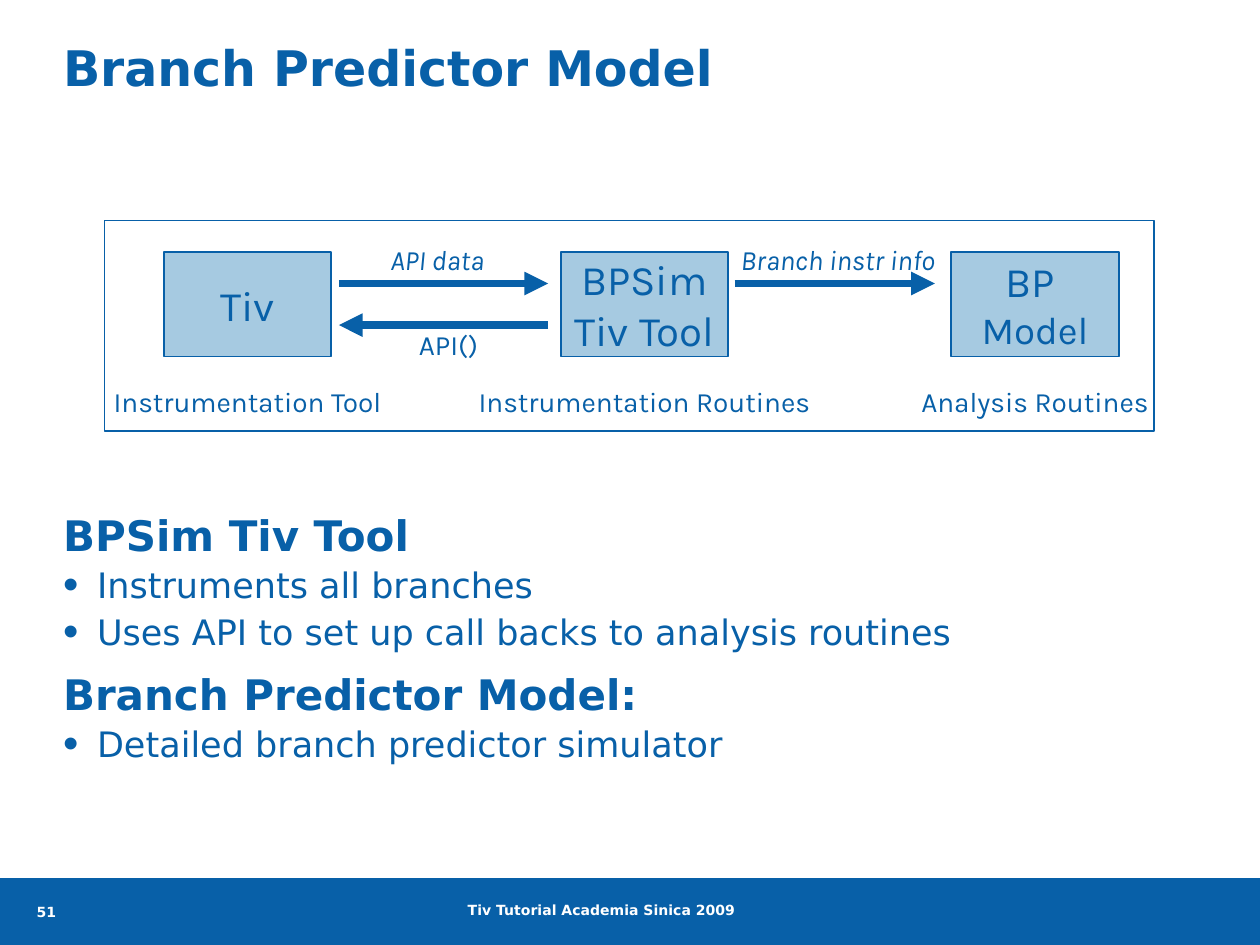
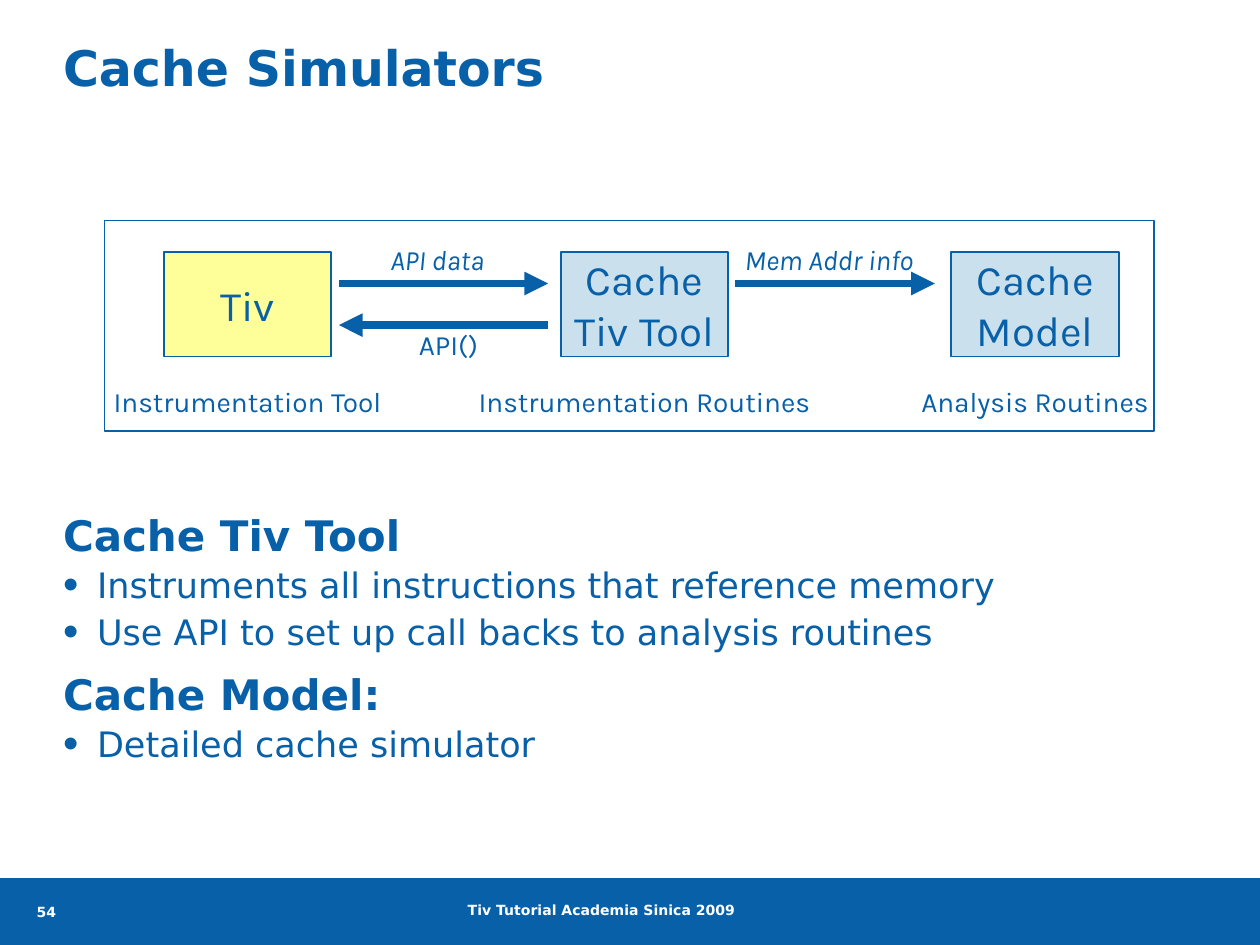
from lxml import etree
from pptx import Presentation
from pptx.dml.color import RGBColor
from pptx.enum import shapes, text
from pptx.oxml import ns
from pptx.util import Inches, Pt

COLORS = {
    "blue": "0860A8",
    "white": "FFFFFF",
    "sky": "A6CAE1",
    "pale": "CBE0ED",
    "yellow": "FFFF99",
}
HEADING_FONT = "DejaVu Sans"
DIAGRAM_FONT = "Karla"
FOOTER = "Tiv Tutorial Academia Sinica 2009"

STAGE_LEFTS = (1.3, 4.45, 7.55)
STAGE_TOP, STAGE_WIDTH, STAGE_HEIGHT = 2, 1.33, 0.83
CAPTIONS = (
    ("Instrumentation Tool", 2.41),
    ("Instrumentation Routines", 2.88),
    ("Analysis Routines", 2.01),
)
CAPTION_TOP, LABEL_HEIGHT = 3, 0.37
FLOWS = (
    (4.35, 2.69, 2.58),
    (2.69, 4.35, 2.25),
    (5.83, 7.42, 2.25),
)

SLIDES = (
    {
        "title": "Branch Predictor Model",
        "number": "51",
        "stages": (
            ([("Tiv", 24)], "sky"),
            ([("BPSim", 24), ("Tiv Tool", 24)], "sky"),
            ([("BP ", 24), ("Model", 22)], "sky"),
        ),
        "result": ("Branch instr info", 6.65),
        "sections": (
            ("BPSim Tiv Tool", (
                "Instruments all branches",
                "Uses API to set up call backs to analysis routines",
            )),
            ("Branch Predictor Model:", ("Detailed branch predictor simulator",)),
        ),
    },
    {
        "title": "Cache Simulators",
        "number": "54",
        "stages": (
            ([("Tiv", 24)], "yellow"),
            ([("Cache", 24), ("Tiv Tool", 24)], "pale"),
            ([("Cache", 24), ("Model", 24)], "pale"),
        ),
        "result": ("Mem Addr info", 6.58),
        "sections": (
            ("Cache Tiv Tool", (
                "Instruments all instructions that reference memory",
                "Use API to set up call backs to analysis routines",
            )),
            ("Cache Model:", ("Detailed cache simulator",)),
        ),
    },
)


def rgb(color):
    return RGBColor.from_string(COLORS[color])


def add_run(paragraph, words, size, font, color="blue", bold=False, italic=False):
    run = paragraph.add_run()
    run.text = words
    run.font.size = Pt(size)
    run.font.name = font
    run.font.bold = bold
    run.font.italic = italic
    run.font.color.rgb = rgb(color)


def next_paragraph(frame, index):
    return frame.add_paragraph() if index else frame.paragraphs[0]


def clear_margins(frame):
    frame.margin_left = frame.margin_right = 0
    frame.margin_top = frame.margin_bottom = 0


def add_rect(slide, left, top, width, height, fill, outline=None):
    rect = slide.shapes.add_shape(
        shapes.MSO_SHAPE.RECTANGLE,
        Inches(left), Inches(top), Inches(width), Inches(height))
    rect.shadow.inherit = False
    rect.fill.solid()
    rect.fill.fore_color.rgb = rgb(fill)
    if outline:
        rect.line.color.rgb = rgb(outline)
        rect.line.width = Pt(1)
    else:
        rect.line.fill.background()
    return rect


def add_footer_text(slide, words, left, top, width, align):
    box = slide.shapes.add_textbox(
        Inches(left), Inches(top), Inches(width), Inches(0.33))
    frame = box.text_frame
    frame.word_wrap = True
    frame.vertical_anchor = text.MSO_ANCHOR.MIDDLE
    clear_margins(frame)
    frame.paragraphs[0].alignment = align
    add_run(frame.paragraphs[0], words, 8, HEADING_FONT, "white", bold=True)


def add_footer(slide, number):
    add_rect(slide, 0, 6.97, 10, 0.53, "blue")
    add_footer_text(slide, FOOTER, 3.55, 7.06, 2.45, text.PP_ALIGN.CENTER)
    add_footer_text(slide, number, 0.29, 7.07, 0.46, text.PP_ALIGN.LEFT)


def place_placeholder(holder, left, top, width, height):
    holder.left, holder.top = Inches(left), Inches(top)
    holder.width, holder.height = Inches(width), Inches(height)
    frame = holder.text_frame
    frame.auto_size = text.MSO_AUTO_SIZE.NONE
    frame.word_wrap = True
    frame.vertical_anchor = text.MSO_ANCHOR.TOP
    clear_margins(frame)
    return frame


def add_title(slide, words):
    frame = place_placeholder(slide.shapes.title, 0.5, 0.3, 8.59, 0.54)
    frame.paragraphs[0].alignment = text.PP_ALIGN.LEFT
    add_run(frame.paragraphs[0], words, 28, HEADING_FONT, bold=True)


def set_bullet(paragraph, bulleted):
    props = paragraph._p.get_or_add_pPr()
    indent = Inches(0.27) if bulleted else 0
    props.set("marL", str(indent))
    props.set("indent", str(-indent))
    if not bulleted:
        etree.SubElement(props, ns.qn("a:buNone"))
        return
    color = etree.SubElement(props, ns.qn("a:buClr"))
    etree.SubElement(color, ns.qn("a:srgbClr"), val=COLORS["blue"])
    etree.SubElement(props, ns.qn("a:buSzPct"), val="125000")
    etree.SubElement(props, ns.qn("a:buChar"), char="•")


def add_sections(slide, sections):
    frame = place_placeholder(slide.placeholders[1], 0.5, 4.04, 9.01, 2.79)
    rows = [
        row for heading, points in sections
        for row in [(heading, False)] + [(point, True) for point in points]
    ]
    for index, (words, bulleted) in enumerate(rows):
        paragraph = next_paragraph(frame, index)
        set_bullet(paragraph, bulleted)
        paragraph.level = int(bulleted)
        paragraph.space_before = Pt((2.5 if bulleted else 9) if index else 0)
        add_run(paragraph, words, 20 if bulleted else 24, HEADING_FONT,
                bold=not bulleted)


def add_label(slide, words, center, top, width, italic=False):
    box = slide.shapes.add_textbox(
        Inches(center - width / 2), Inches(top), Inches(width), Inches(LABEL_HEIGHT))
    frame = box.text_frame
    frame.word_wrap = False
    frame.auto_size = text.MSO_AUTO_SIZE.SHAPE_TO_FIT_TEXT
    frame.paragraphs[0].alignment = text.PP_ALIGN.CENTER
    add_run(frame.paragraphs[0], words, 16, DIAGRAM_FONT, italic=italic)


def add_stage(slide, left, lines, fill):
    stage = add_rect(slide, left, STAGE_TOP, STAGE_WIDTH, STAGE_HEIGHT, fill, "blue")
    frame = stage.text_frame
    frame.word_wrap = False
    frame.vertical_anchor = text.MSO_ANCHOR.MIDDLE
    for index, (words, size) in enumerate(lines):
        paragraph = next_paragraph(frame, index)
        paragraph.alignment = text.PP_ALIGN.CENTER
        add_run(paragraph, words, size, DIAGRAM_FONT)


def add_flow(slide, start, end, y):
    arrow = slide.shapes.add_connector(
        shapes.MSO_CONNECTOR.STRAIGHT,
        Inches(start), Inches(y), Inches(end), Inches(y))
    arrow.line.color.rgb = rgb("blue")
    arrow.line.width = Pt(4.5)
    etree.SubElement(arrow.line._get_or_add_ln(), ns.qn("a:tailEnd"), type="triangle")
    etree.SubElement(arrow._element.spPr, ns.qn("a:effectLst"))


def add_diagram(slide, stages, result):
    add_rect(slide, 0.83, 1.75, 8.33, 1.67, "white", "blue")
    for left, (lines, fill), (caption, width) in zip(STAGE_LEFTS, stages, CAPTIONS):
        add_stage(slide, left, lines, fill)
        add_label(slide, caption, left + STAGE_WIDTH / 2, CAPTION_TOP, width)
    for flow in FLOWS:
        add_flow(slide, *flow)
    add_label(slide, "API()", 3.56, 2.55, 0.68)
    add_label(slide, "API data", 3.47, 1.88, 1.03, italic=True)
    words, center = result
    add_label(slide, words, center, 1.88, 1.84, italic=True)


def main():
    deck = Presentation()
    deck.slide_width, deck.slide_height = Inches(10), Inches(7.5)
    for content in SLIDES:
        slide = deck.slides.add_slide(deck.slide_layouts[1])
        add_footer(slide, content["number"])
        add_title(slide, content["title"])
        add_diagram(slide, content["stages"], content["result"])
        add_sections(slide, content["sections"])
    deck.save("out.pptx")


if __name__ == "__main__":
    main()
